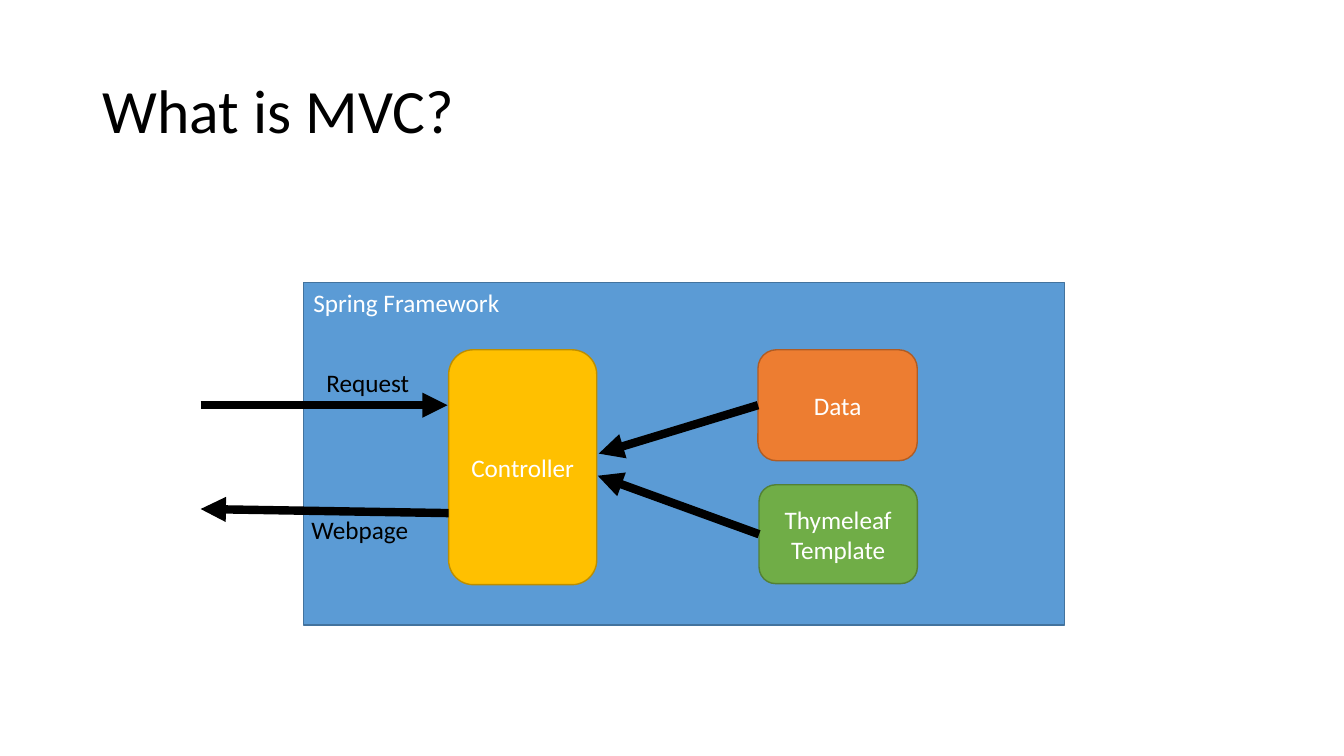
"""Builds a slide showing how an MVC controller links requests, data and templates."""
from lxml.etree import SubElement as Sub
from pptx import Presentation
from pptx.dml.color import RGBColor
from pptx.enum.shapes import MSO_CONNECTOR as Link, MSO_SHAPE as Form
from pptx.enum.text import MSO_ANCHOR as Anchor, PP_ALIGN as Align
from pptx.oxml.ns import qn
from pptx.util import Inches, Pt

deck = Presentation()
deck.slide_width, deck.slide_height = Inches(13.33), Inches(7.5)
slide = deck.slides.add_slide(deck.slide_layouts[6])
items = slide.shapes
col, row = deck.slide_width / 100, deck.slide_height / 100


def hue(code):
    """Turn a hex string into a colour."""
    return RGBColor.from_string(code)


def write(text, left, top, width, height, form=None, fill=None, edge=None, size=18,
          ink="FFFFFF", align=Align.CENTER, anchor=Anchor.MIDDLE, wrap=True, lead=1.0):
    """Place text in a box given in grid columns and rows."""
    area = [int(n) for n in (left * col, top * row, width * col, height * row)]
    if form is None:
        box = items.add_textbox(*area)
    else:
        box = items.add_shape(form, *area)
        box.shadow.inherit = False
        box.fill.solid()
        box.fill.fore_color.rgb = hue(fill)
        box.line.color.rgb = hue(edge)
        box.line.width = Pt(1)
    frame = box.text_frame
    frame.word_wrap = wrap
    frame.vertical_anchor = anchor
    frame.text = text
    for para in frame.paragraphs:
        para.alignment = align
        para.line_spacing = lead
        para.font.name = "Calibri"
        para.font.size = Pt(size)
        para.font.color.rgb = hue(ink)


write("What is MVC?", 6.9, 5.33, 86.25, 19.33, size=44, ink="000000",
      align=Align.LEFT, lead=0.9)
write("Spring Framework", 22.58, 37.33, 56.62, 45.33, form=Form.RECTANGLE,
      fill="5B9BD5", edge="43739E", align=Align.LEFT, anchor=Anchor.TOP)

parts = [
    ("Controller", 33.38, 46.27, 11.02, 31.07, "FFC000", "BD8E00"),
    ("Data", 56.4, 46.27, 11.85, 14.67, "ED7D31", "AF5C24"),
    ("Thymeleaf\nTemplate", 56.48, 64.13, 11.78, 13.07, "70AD47", "538035"),
]
for text, left, top, width, height, fill, edge in parts:
    write(text, left, top, width, height, form=Form.ROUNDED_RECTANGLE, fill=fill, edge=edge)

arrows = [
    (56.4, 53.6, 44.55, 60),
    (56.48, 70.67, 44.48, 62.93),
    (33.38, 67.87, 14.93, 67.33),
    (14.93, 53.6, 33.3, 53.6),
]
for x1, y1, x2, y2 in arrows:
    ends = [int(n) for n in (x1 * col, y1 * row, x2 * col, y2 * row)]
    arrow = items.add_connector(Link.STRAIGHT, *ends)
    arrow.line.color.rgb = hue("000000")
    arrow.line.width = Pt(6)
    Sub(arrow.line._get_or_add_ln(), qn("a:tailEnd"), type="triangle")
    Sub(arrow._element.spPr, qn("a:effectLst"))

labels = [("Webpage", 22.43, 67.33, 8.78), ("Request", 23.55, 47.87, 7.73)]
for text, left, top, width in labels:
    write(text, left, top, width, 5.33, ink="000000", align=Align.LEFT,
          anchor=Anchor.TOP, wrap=False)

deck.save("out.pptx")
